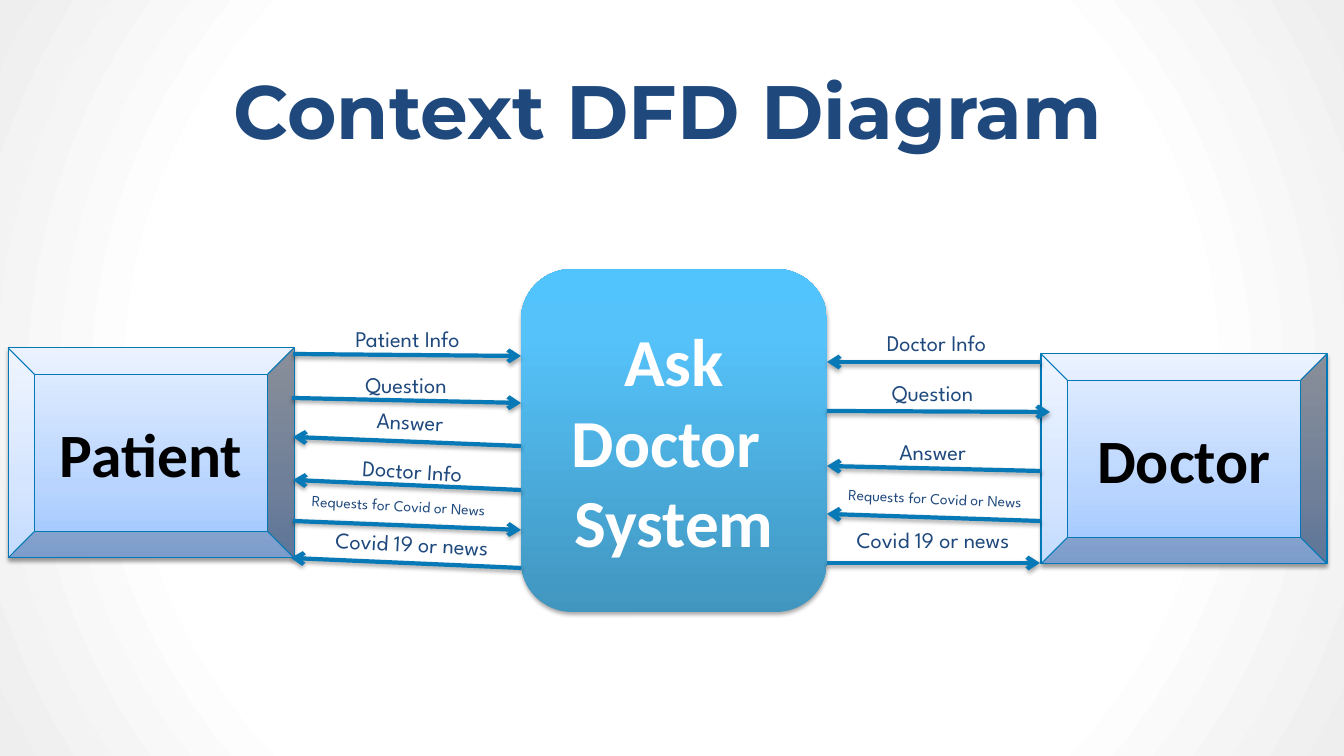
from lxml.etree import SubElement
from pptx import Presentation
from pptx.dml.color import RGBColor
from pptx.enum.shapes import MSO_CONNECTOR as CONN, MSO_SHAPE as SHAPE
from pptx.enum.text import MSO_ANCHOR as ANCHOR, MSO_AUTO_SIZE as AUTO, PP_ALIGN as ALIGN
from pptx.oxml.ns import qn
from pptx.util import Emu, Pt

NAVY = RGBColor(0x1F, 0x49, 0x7D)
FLOW = RGBColor(0x07, 0x79, 0xB7)
EDGE = RGBColor(0x03, 0x78, 0xB7)
BLACK = RGBColor(0x00, 0x00, 0x00)
WHITE = RGBColor(0xFF, 0xFF, 0xFF)
MIST = RGBColor(0xEE, 0xEE, 0xEE)
ENTITY_FILL = [(0, RGBColor(0x9C, 0xC5, 0xFF)), (35, RGBColor(0xB9, 0xD5, 0xFF)),
               (100, RGBColor(0xE5, 0xEF, 0xFF))]
SYSTEM_FILL = [(0, RGBColor(0x41, 0x96, 0xBF)), (80, RGBColor(0x55, 0xC2, 0xF9)),
               (100, RGBColor(0x52, 0xC4, 0xFD))]
PAGE_FILL = [(67, WHITE), (100, MIST)]

FLOWS = [
    ((293, 354), (521, 356)),
    ((292, 398), (521, 403)),
    ((521, 446), (293, 437)),
    ((521, 490), (293, 480)),
    ((293, 521), (521, 530)),
    ((521, 568), (291, 558)),
    ((1041, 362), (827, 362)),
    ((827, 411), (1050, 412)),
    ((1041, 471), (827, 466)),
    ((1040, 521), (827, 514)),
    ((827, 563), (1040, 563)),
]
LABELS = [
    ("Patient Info", (302, 320, 211, 37), 0, 16),
    ("Question", (300, 366, 212, 37), 0, 16),
    ("Answer", (305, 403, 210, 37), 2.8, 16),
    ("Doctor Info", (320, 452, 185, 37), 3.7, 16),
    ("Requests for Covid or News", (277, 491, 243, 29), 3.1, 11),
    ("Covid 19 or news", (308, 525, 208, 37), 3, 16),
    ("Doctor Info", (865, 324, 143, 37), 0, 16),
    ("Question", (873, 374, 119, 37), 0, 16),
    ("Answer", (881, 433, 103, 37), 0, 16),
    ("Requests for Covid or News", (820, 484, 230, 29), 2.6, 11),
    ("Covid 19 or news", (829, 521, 208, 37), 0, 16),
]


def px(n):
    return Emu(round(n * 914400 / 100.8))


class Diagram:
    """Draws the elements of a data flow diagram on one slide."""

    def __init__(self, prs):
        self.slide = prs.slides.add_slide(prs.slide_layouts[5])
        self.shapes = self.slide.shapes

    def gradient(self, fill, owner, stops, radial=False):
        fill.gradient()
        grad = owner.find(".//" + qn("a:gradFill"))
        for child in list(grad):
            grad.remove(child)
        gs_lst = SubElement(grad, qn("a:gsLst"))
        for pos, color in stops:
            gs = SubElement(gs_lst, qn("a:gs"), pos=str(pos * 1000))
            SubElement(gs, qn("a:srgbClr"), val=str(color))
        if radial:
            way = SubElement(grad, qn("a:path"), path="circle")
            SubElement(way, qn("a:fillToRect"), l="50000", t="50000", r="50000", b="50000")
        else:
            SubElement(grad, qn("a:lin"), ang="16200000", scaled="0")

    def shadow(self, sp, alpha, dist):
        effects = SubElement(sp.element.spPr, qn("a:effectLst"))
        outer = SubElement(effects, qn("a:outerShdw"), blurRad="40000", dist=str(dist),
                           dir="5400000", rotWithShape="0")
        color = SubElement(outer, qn("a:srgbClr"), val=str(BLACK))
        SubElement(color, qn("a:alpha"), val=str(alpha * 1000))

    def set_text(self, tf, text, font, size, color, bold=False):
        tf.text = text
        tf.auto_size = AUTO.NONE
        for p in tf.paragraphs:
            p.alignment = ALIGN.CENTER
            for r in p.runs:
                r.font.name, r.font.size, r.font.bold = font, Pt(size), bold
                r.font.color.rgb = color

    def background(self, stops):
        self.gradient(self.slide.background.fill, self.slide.element, stops, radial=True)

    def title(self, text, box):
        sp = self.shapes.title
        sp.left, sp.top, sp.width, sp.height = map(px, box)
        self.set_text(sp.text_frame, text, "Montserrat", 54, NAVY, True)

    def block(self, kind, text, box, stops, size, color, edge=None):
        sp = self.shapes.add_shape(kind, *map(px, box))
        self.gradient(sp.fill, sp.element, stops)
        if edge is None:
            sp.line.fill.background()
            self.shadow(sp, 35, 23000)
        else:
            sp.line.color.rgb = edge
            sp.line.width = Pt(0.75)
            self.shadow(sp, 38, 20000)
        sp.text_frame.vertical_anchor = ANCHOR.MIDDLE
        self.set_text(sp.text_frame, text, "Calibri", size, color, True)

    def entity(self, text, box):
        self.block(SHAPE.BEVEL, text, box, ENTITY_FILL, 44, BLACK, EDGE)

    def system(self, text, box):
        self.block(SHAPE.ROUNDED_RECTANGLE, text, box, SYSTEM_FILL, 48, WHITE)

    def flow(self, start, end):
        cx = self.shapes.add_connector(CONN.STRAIGHT, *map(px, start + end))
        cx.line.color.rgb = FLOW
        cx.line.width = Pt(3)
        SubElement(cx.element.spPr.find(qn("a:ln")), qn("a:tailEnd"), type="arrow")
        self.shadow(cx, 35, 23000)

    def label(self, text, box, angle, size):
        sp = self.shapes.add_textbox(*map(px, box))
        sp.rotation = angle
        self.set_text(sp.text_frame, text, "League Spartan", size, NAVY)
        sp.text_frame.word_wrap = False


def main():
    prs = Presentation()
    prs.slide_width, prs.slide_height = px(1344), px(756)
    d = Diagram(prs)
    d.background(PAGE_FILL)
    d.title("Context DFD Diagram", (151, 58, 1033, 102))
    d.entity("Doctor", (1041, 354, 286, 210))
    d.entity("Patient", (8, 348, 286, 210))
    d.system("Ask\nDoctor \nSystem", (521, 269, 306, 343))
    for start, end in FLOWS:
        d.flow(start, end)
    for label in LABELS:
        d.label(*label)
    prs.save("out.pptx")


if __name__ == "__main__":
    main()
